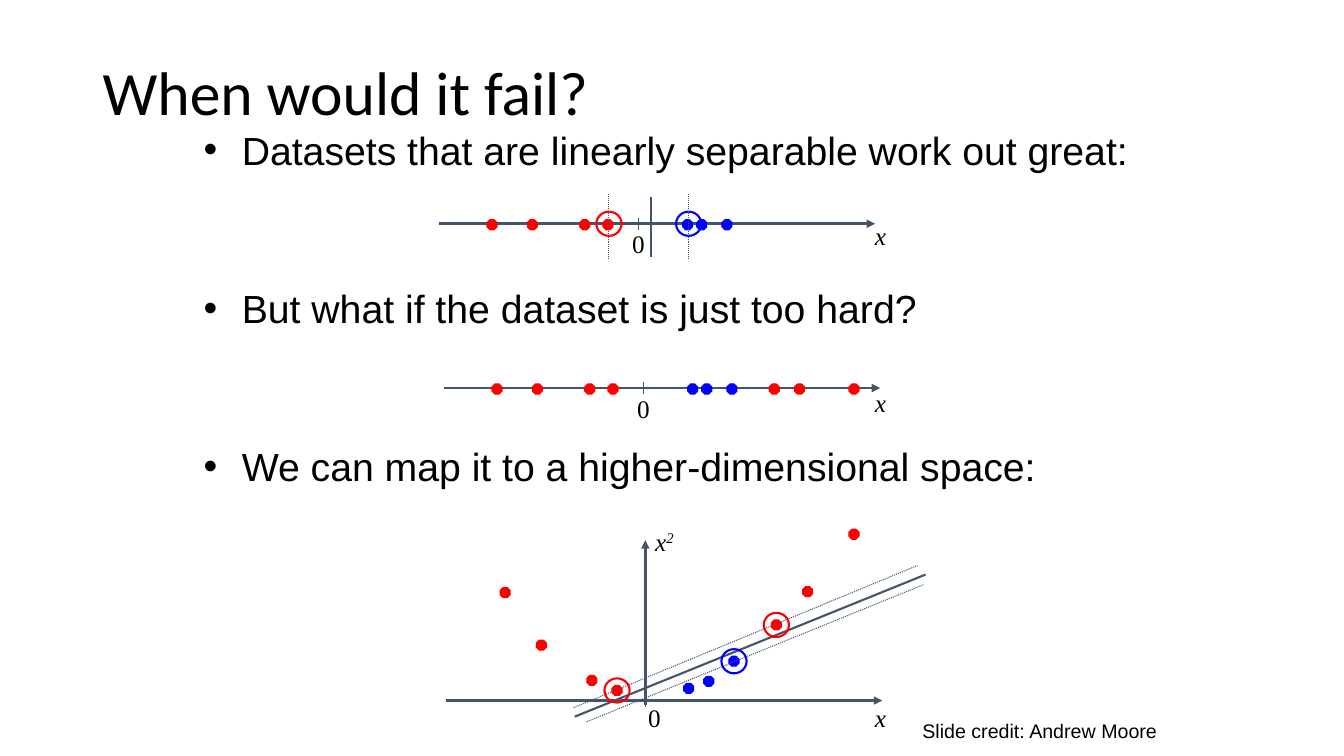
"""Build a slide on linear separability and mapping to a higher dimension."""
from lxml import etree
from pptx import Presentation
from pptx.dml.color import RGBColor
from pptx.enum import dml, shapes, text
from pptx.oxml import ns
from pptx.util import Inches, Pt

COLORS = {"ink": "000000", "axis": "44546A", "red": "FF0000", "blue": "0000FF"}
RED_OFFSETS = [0.53, 0.93, 1.45, 1.68]
BLUE_OFFSETS = [2.47, 2.61, 2.86]
FAR_RED_OFFSETS = [3.28, 3.53, 4.07]
CURVE_DOTS = {
    "red": [(5.01, 5.88), (5.37, 6.4), (5.87, 6.75), (6.12, 6.85),
            (7.7, 6.2), (8.01, 5.87), (8.47, 5.3)],
    "blue": [(6.83, 6.83), (7.03, 6.76), (7.28, 6.56)],
}
BULLETS = [
    "Datasets that are linearly separable work out great:",
    "But what if the dataset is just too hard?",
    "We can map it to a higher-dimensional space:",
]


def rgb(name):
    """Return the named colour."""
    return RGBColor.from_string(COLORS[name])


def add_text(parent, box, lines, size, font, italic=False, wrap=True):
    """Add a text box with one paragraph per line."""
    tf = parent.shapes.add_textbox(*map(Inches, box)).text_frame
    tf.word_wrap = wrap
    tf.text = "\n".join(lines)
    for p in tf.paragraphs:
        for r in p.runs:
            r.font.size = Pt(size)
            r.font.name = font
            r.font.italic = italic
            r.font.color.rgb = rgb("ink")
    return tf


def add_label(parent, x, y, label, italic=False):
    """Add an axis label in serif type."""
    width = 0.5 if italic else 0.38
    return add_text(parent, (x, y, width, 0.4), [label], 18, "Times New Roman", italic)


def add_line(parent, start, end, width, arrow=False, dotted=False):
    """Draw a straight line, optionally dotted or with an arrowhead."""
    points = map(Inches, (*start, *end))
    line = parent.shapes.add_connector(shapes.MSO_CONNECTOR.STRAIGHT, *points)
    line.line.color.rgb = rgb("axis")
    line.line.width = Pt(width)
    if dotted:
        line.line.dash_style = dml.MSO_LINE.ROUND_DOT
    if arrow:
        etree.SubElement(line.line._get_or_add_ln(), ns.qn("a:tailEnd"), type="triangle")
    etree.SubElement(line._element.spPr, ns.qn("a:effectLst"))


def add_marker(parent, kind, center, size, color, width):
    """Add an outlined shape around a centre point."""
    x, y = center
    w, h = size
    sp = parent.shapes.add_shape(kind, *map(Inches, (x - w / 2, y - h / 2, w, h)))
    sp.shadow.inherit = False
    sp.fill.background()
    sp.line.color.rgb = rgb(color)
    sp.line.width = Pt(width)
    return sp


def add_dot(parent, center, color):
    """Add a data point."""
    sp = add_marker(parent, shapes.MSO_SHAPE.OCTAGON, center, (0.1, 0.1), color, 0.75)
    sp.fill.solid()
    sp.fill.fore_color.rgb = rgb(color)


def add_ring(parent, center, color):
    """Circle a support vector."""
    add_marker(parent, shapes.MSO_SHAPE.OVAL, center, (0.25, 0.24), color, 1.5)


def add_axis(parent, left, y, zero, x_label_y):
    """Add a horizontal axis with its origin tick and labels."""
    add_line(parent, (left, y), (left + 4.33, y), 2, arrow=True)
    add_line(parent, (left + 1.98, y - 0.06), (left + 1.98, y + 0.06), 0.75)
    add_label(parent, *zero, "0")
    add_label(parent, 8.58, x_label_y, "x", italic=True)


def add_number_line(s, left, y, x_label_y, red_offsets):
    """Add a one-dimensional data set and return its group."""
    group = s.shapes.add_group_shape()
    add_axis(group, left, y, (left + 1.82, y), x_label_y)
    for color, offsets in (("red", red_offsets), ("blue", BLUE_OFFSETS)):
        for offset in offsets:
            add_dot(group, (left + offset, y + 0.01), color)
    return group


def add_margin(group):
    """Mark the separator and support vectors on the first number line."""
    add_line(group, (6.46, 1.95), (6.46, 2.55), 1.5)
    for x, color in ((6.04, "red"), (6.83, "blue")):
        add_ring(group, (x, 2.22), color)
        add_line(group, (x, 2.57), (x, 1.92), 0.75, dotted=True)


def add_curve_plot(s):
    """Add the data set mapped to two dimensions."""
    group = s.shapes.add_group_shape()
    add_axis(group, 4.42, 6.95, (6.33, 6.92), 6.92)
    for color, centers in CURVE_DOTS.items():
        for center in centers:
            add_dot(group, center, color)
    add_line(group, (6.4, 6.99), (6.4, 5.36), 2, arrow=True)
    p = add_label(group, 6.4, 5.17, "x", italic=True).paragraphs[0]
    r = p.add_run()
    r.text = "2"
    r.font.size = Pt(18)
    r.font.name = "Times New Roman"
    r.font.italic = True
    r.font.color.rgb = rgb("ink")
    r._r.get_or_add_rPr().set("baseline", "30000")
    add_line(group, (5.7, 7.11), (9.18, 5.7), 1.5)
    add_line(group, (5.69, 7.02), (9.1, 5.61), 0.75, dotted=True)
    add_line(group, (5.82, 7.16), (9.16, 5.8), 0.75, dotted=True)
    for center, color in (((7.7, 6.2), "red"), ((7.28, 6.56), "blue"), ((6.12, 6.85), "red")):
        add_ring(group, center, color)


def add_bullets(s):
    """Add the three statements at an even pitch."""
    tf = add_text(s, (1.92, 1.2, 9.58, 5.5), BULLETS, 28, "Arial")
    for i, p in enumerate(tf.paragraphs):
        pPr = p._p.get_or_add_pPr()
        pPr.set("marL", str(Inches(0.38)))
        pPr.set("indent", str(Inches(-0.38)))
        etree.SubElement(pPr, ns.qn("a:buFont"), typeface="Arial")
        etree.SubElement(pPr, ns.qn("a:buChar"), char="•")
        if i:
            p.space_before = Pt(79.5)


def main():
    """Assemble and save the slide."""
    prs = Presentation()
    prs.slide_width, prs.slide_height = Inches(13.33), Inches(7.5)
    s = prs.slides.add_slide(prs.slide_layouts[6])
    add_bullets(s)
    add_margin(add_number_line(s, 4.35, 2.22, 2.14, RED_OFFSETS))
    add_number_line(s, 4.4, 3.85, 3.79, RED_OFFSETS + FAR_RED_OFFSETS)
    add_curve_plot(s)
    title = add_text(s, (0.92, 0.22, 11.5, 1.45), ["When would it fail?"], 44, "Calibri")
    title.vertical_anchor = text.MSO_ANCHOR.MIDDLE
    title.paragraphs[0].line_spacing = 0.9
    add_text(s, (9.05, 7.08, 2.53, 0.33), ["Slide credit: Andrew Moore"], 14, "Arial", wrap=False)
    prs.save("out.pptx")


if __name__ == "__main__":
    main()
